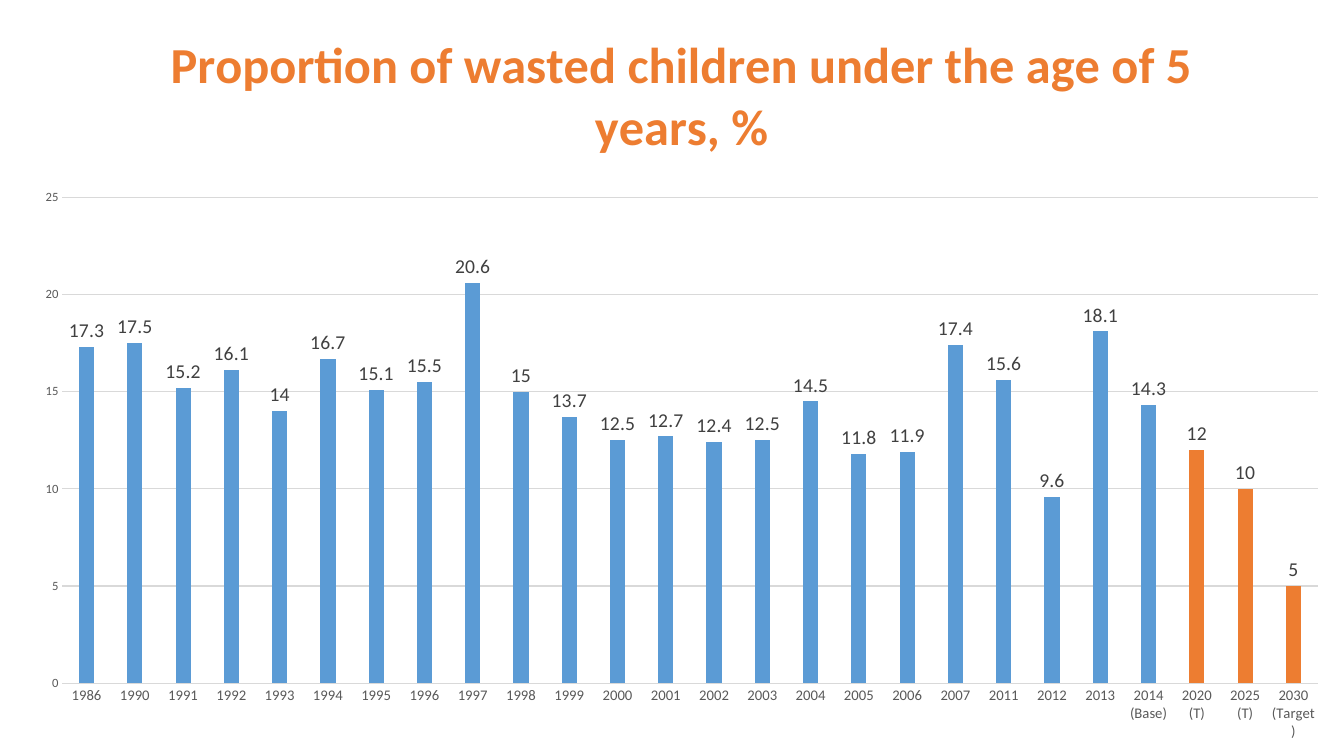
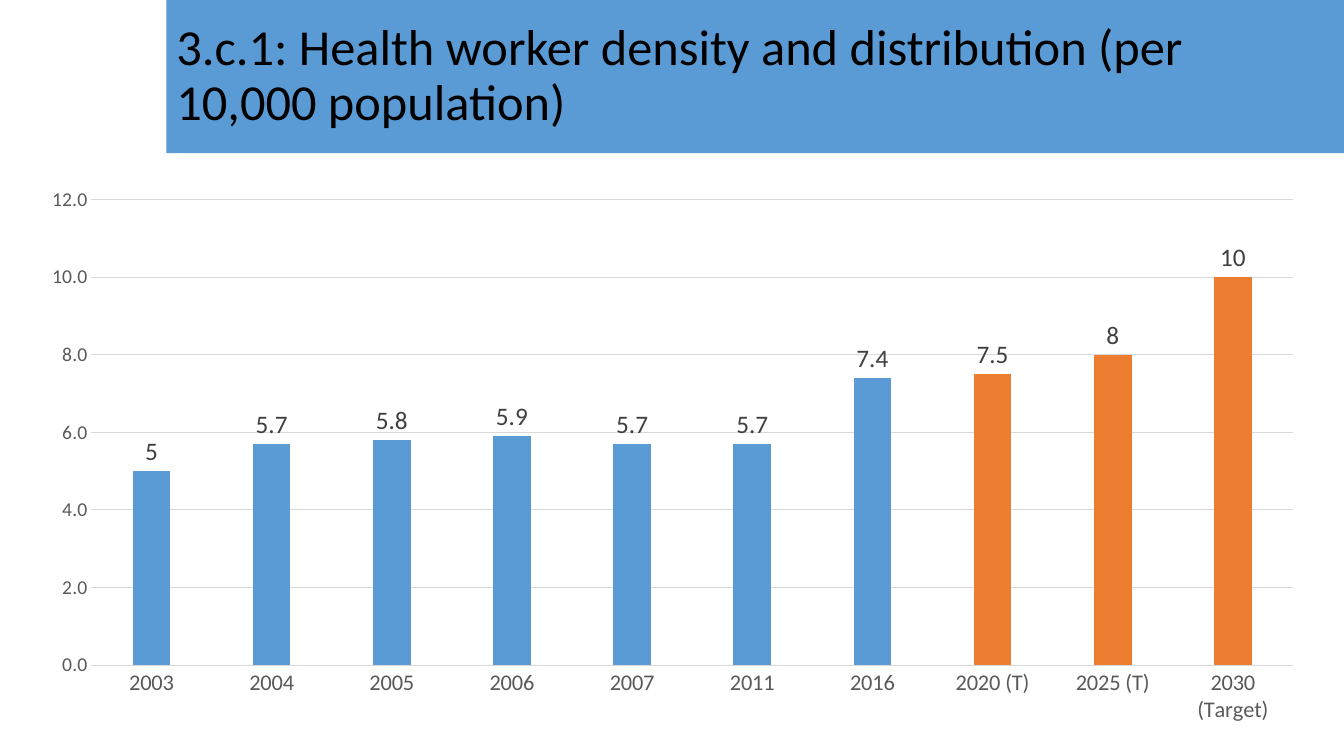
from pptx import Presentation
from pptx.chart.data import CategoryChartData
from pptx.dml.color import RGBColor
from pptx.enum import chart as ch, text as tx
from pptx.util import Inches, Pt

FONT = "Calibri"
BLUE = RGBColor(0x5B, 0x9B, 0xD5)
ORANGE = RGBColor(0xED, 0x7D, 0x31)
BLACK = RGBColor(0, 0, 0)
DARK = RGBColor(0x40, 0x40, 0x40)
GREY = RGBColor(0x59, 0x59, 0x59)
PALE = RGBColor(0xD9, 0xD9, 0xD9)

TARGETS = ["2020 (T)", "2025 (T)", "2030 (Target)"]
WASTED = {
    "1986": 17.3, "1990": 17.5, "1991": 15.2, "1992": 16.1, "1993": 14,
    "1994": 16.7, "1995": 15.1, "1996": 15.5, "1997": 20.6, "1998": 15,
    "1999": 13.7, "2000": 12.5, "2001": 12.7, "2002": 12.4, "2003": 12.5,
    "2004": 14.5, "2005": 11.8, "2006": 11.9, "2007": 17.4, "2011": 15.6,
    "2012": 9.6, "2013": 18.1, "2014 (Base)": 14.3,
    **dict(zip(TARGETS, [12, 10, 5])),
}
WORKERS = {
    "2003": 5, "2004": 5.7, "2005": 5.8, "2006": 5.9, "2007": 5.7,
    "2011": 5.7, "2016": 7.4,
    **dict(zip(TARGETS, [7.5, 8, 10])),
}


def style(font, size, color, bold=False):
    font.name = FONT
    font.size = Pt(size)
    font.color.rgb = color
    font.bold = bold


def write(frame, words, size=36, color=BLACK, bold=False, align=None, spacing=None):
    para = frame.paragraphs[0]
    para.alignment = align
    para.line_spacing = spacing
    run = para.add_run()
    run.text = words
    style(run.font, size, color, bold)


def rule(line):
    line.color.rgb = PALE
    line.width = Pt(0.75)


def add_band(slide, words):
    """Put the title in a blue band that runs to the right edge."""
    band = slide.shapes.title
    band.left, band.top = Inches(1.65), Inches(0)
    band.width, band.height = Inches(11.69), Inches(1.52)
    band.fill.solid()
    band.fill.fore_color.rgb = BLUE
    frame = band.text_frame
    frame.word_wrap = True
    frame.vertical_anchor = tx.MSO_ANCHOR.MIDDLE
    write(frame, words, align=tx.PP_ALIGN.LEFT, spacing=0.9)


def set_axis(axis, size):
    axis.major_tick_mark = axis.minor_tick_mark = ch.XL_TICK_MARK.NONE
    style(axis.tick_labels.font, size, GREY)


def add_columns(slide, box, values, top, step, sizes, form="General", title=None):
    """Draw one column series; sizes are for categories, scale and labels."""
    data = CategoryChartData()
    data.categories = list(values)
    data.add_series("Series 1", list(values.values()))
    kind = ch.XL_CHART_TYPE.COLUMN_CLUSTERED
    chart = slide.shapes.add_chart(kind, *map(Inches, box), data).chart
    style(chart.font, 10, BLACK)
    chart.has_legend = False
    chart.has_title = bool(title)
    if title:
        write(chart.chart_title.text_frame, title, color=ORANGE, bold=True)

    cat, scale, label = sizes
    set_axis(chart.category_axis, cat)
    rule(chart.category_axis.format.line)
    axis = chart.value_axis
    set_axis(axis, scale)
    axis.format.line.fill.background()
    axis.minimum_scale, axis.maximum_scale, axis.major_unit = 0, top, step
    axis.tick_labels.number_format = form
    axis.tick_labels.number_format_is_linked = False
    rule(axis.major_gridlines.format.line)

    plot = chart.plots[0]
    plot.gap_width, plot.overlap = 219, -27
    plot.vary_by_categories = False
    plot.has_data_labels = True
    labels = plot.data_labels
    labels.show_value = True
    labels.position = ch.XL_LABEL_POSITION.OUTSIDE_END
    style(labels.font, label, DARK)

    bars = plot.series[0]
    bars.format.fill.solid()
    bars.format.fill.fore_color.rgb = BLUE
    for i, name in enumerate(values):
        if name in TARGETS:
            fill = bars.points[i].format.fill
            fill.solid()
            fill.fore_color.rgb = ORANGE


def main():
    deck = Presentation()
    deck.slide_width, deck.slide_height = Inches(13.33), Inches(7.5)
    only, blank = deck.slide_layouts[5], deck.slide_layouts[6]

    slide = deck.slides.add_slide(blank)
    add_columns(slide, (0.19, 0, 13.14, 7.5), WASTED, 25, 5, (10.5, 9, 14),
                title="Proportion of wasted children under the age of 5 years, %")

    slide = deck.slides.add_slide(only)
    add_band(slide, "3.c.1: Health worker density and distribution (per 10,000 population)")
    add_columns(slide, (0.26, 1.75, 12.82, 5.54), WORKERS, 12, 2, (16, 14, 18), form="0.0")

    deck.save("out.pptx")


if __name__ == "__main__":
    main()
